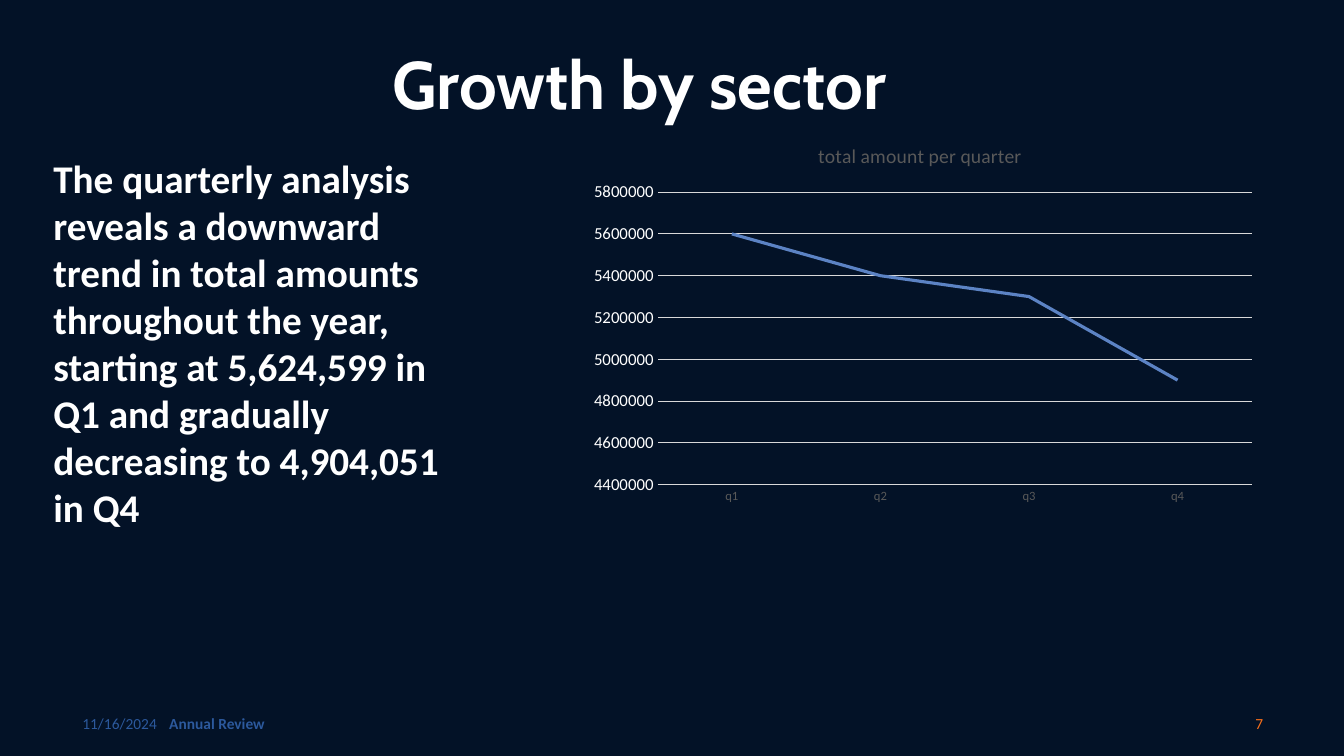
from lxml import etree
from pptx import Presentation
from pptx import util as u
from pptx.chart.data import CategoryChartData
from pptx.dml.color import RGBColor
from pptx.enum import chart as ch
from pptx.enum import text as t
from pptx.oxml import ns

NAVY = RGBColor(0x03, 0x12, 0x27)
WHITE = RGBColor(0xFF, 0xFF, 0xFF)
BLUE = RGBColor(0x2C, 0x59, 0x9D)
ORANGE = RGBColor(0xFA, 0x6F, 0x1A)
GREY = RGBColor(0x59, 0x59, 0x59)
PALE = RGBColor(0xD9, 0xD9, 0xD9)
TREND = RGBColor(0x5C, 0x83, 0xC4)

SUMMARY = ("The quarterly analysis reveals a downward trend in total amounts "
           "throughout the year, starting at 5,624,599 in Q1 and gradually "
           "decreasing to 4,904,051 in Q4")
TOTALS = {"q1": 5600000, "q2": 5400000, "q3": 5300000, "q4": 4900000}


def style(font, color, size, name="Calibri", bold=False):
    """Apply one set of format values to a font."""
    for key, value in {"name": name, "size": u.Pt(size), "bold": bold}.items():
        setattr(font, key, value)
    font.color.rgb = color


def add_words(slide, box, words, color, size, align=t.PP_ALIGN.LEFT,
              anchor=t.MSO_ANCHOR.MIDDLE, spacing=None, **look):
    """Place one paragraph of text in a box given in points."""
    frame = slide.shapes.add_textbox(*map(u.Pt, box)).text_frame
    for key, value in {"word_wrap": True, "vertical_anchor": anchor}.items():
        setattr(frame, key, value)
    line = frame.paragraphs[0]
    for key, value in {"alignment": align, "line_spacing": spacing}.items():
        setattr(line, key, value)
    run = line.add_run()
    run.text = words
    style(run.font, color, size, **look)


def add_heading(slide, box):
    """Place the slide heading."""
    add_words(slide, box, "Growth by sector ", WHITE, 48, t.PP_ALIGN.CENTER,
              spacing=0.9, name="Cabin", bold=True)


def add_summary(slide, box):
    """Place the commentary beside the chart."""
    add_words(slide, box, SUMMARY, WHITE, 28, anchor=t.MSO_ANCHOR.TOP, bold=True)


def add_footer(slide, box):
    """Place date, report name and page number along the footer band."""
    left, top, width, height = box
    add_words(slide, (left, top, 216, height), "11/16/2024", BLUE, 11)
    add_words(slide, (left + 62, top, 324, height), "Annual Review", BLUE, 11, bold=True)
    add_words(slide, (left + width - 216, top, 216, height), "7", ORANGE, 11,
              t.PP_ALIGN.RIGHT)


def set_layout(parent, follows, inner=False, **fractions):
    """Fix a chart part at fractions of the chart area."""
    for old in parent.findall(ns.qn("c:layout")):
        parent.remove(old)
    layout = etree.Element(ns.qn("c:layout"))
    manual = etree.SubElement(layout, ns.qn("c:manualLayout"))
    values = {"layoutTarget": "inner"} if inner else {}
    values.update({"xMode": "edge", "yMode": "edge"}, **fractions)
    for tag, value in values.items():
        etree.SubElement(manual, ns.qn("c:" + tag)).set("val", str(value))
    if follows is None:
        parent.insert(0, layout)
    else:
        follows.addnext(layout)


def add_totals_chart(slide, box):
    """Place the line chart of quarterly totals."""
    data = CategoryChartData()
    data.categories = list(TOTALS)
    data.add_series("Series 1", list(TOTALS.values()))
    chart = slide.shapes.add_chart(ch.XL_CHART_TYPE.LINE, *map(u.Pt, box), data).chart
    chart.has_legend = False
    chart.font.name = "Calibri"
    chart.font.size = u.Pt(10)
    chart.plots[0].vary_by_categories = False

    heading = chart.chart_title.text_frame
    heading.text = "total amount per quarter"
    style(heading.paragraphs[0].runs[0].font, GREY, 14)
    title = chart.chart_title._element
    set_layout(title, title.find(ns.qn("c:tx")), x=0.34, y=0.03)
    area = chart._chartSpace.chart.plotArea
    set_layout(area, None, True, x=0.11, y=0.17, w=0.87, h=0.76)

    quarters, amounts = chart.category_axis, chart.value_axis
    for axis, color, size in ((quarters, GREY, 9), (amounts, WHITE, 12)):
        axis.major_tick_mark = axis.minor_tick_mark = ch.XL_TICK_MARK.NONE
        style(axis.tick_labels.font, color, size)
    for key, value in {"minimum_scale": 4400000, "maximum_scale": 5800000,
                       "major_unit": 200000, "has_major_gridlines": True}.items():
        setattr(amounts, key, value)
    amounts.format.line.fill.background()
    amounts.tick_labels.number_format = "General"
    amounts.tick_labels.number_format_is_linked = False

    totals = chart.plots[0].series[0]
    totals.smooth = False
    totals.marker.style = ch.XL_MARKER_STYLE.NONE
    for part, color, width in ((quarters, PALE, 0.75), (amounts.major_gridlines, PALE, 0.75),
                               (totals, TREND, 2.25)):
        part.format.line.color.rgb = color
        part.format.line.width = u.Pt(width)


def main():
    """Build the growth slide and save it."""
    deck = Presentation()
    deck.slide_width, deck.slide_height = u.Pt(960), u.Pt(540)
    slide = deck.slides.add_slide(deck.slide_layouts[6])
    slide.background.fill.solid()
    slide.background.fill.fore_color.rgb = NAVY
    add_footer(slide, (51.8, 502.6, 857.6, 28.8))
    add_heading(slide, (48.2, 35.3, 828, 55.4))
    add_totals_chart(slide, (416, 90.5, 488, 275))
    add_summary(slide, (31, 106.6, 298, 278.6))
    deck.save("out.pptx")


if __name__ == "__main__":
    main()
